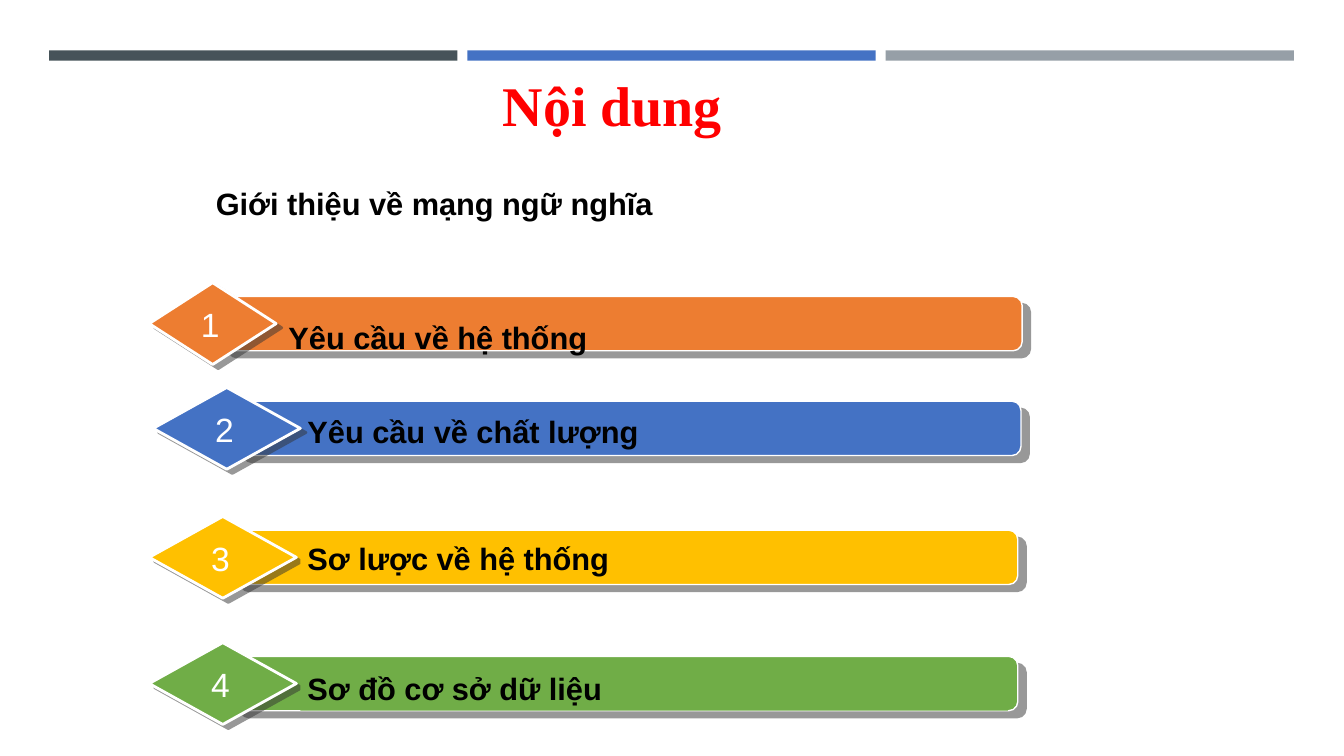
from lxml import etree
from pptx import Presentation
from pptx.dml.color import RGBColor
from pptx.enum import shapes, text
from pptx.oxml.ns import qn
from pptx.util import Cm, Pt

# Content
TITLE = "Nội dung"
SUBTITLE = "Giới thiệu về mạng ngữ nghĩa"
# Lengths in cm; label is (left, offset below bar top, width, height)
ROWS = [
    dict(name="Yêu cầu về hệ thống", color="ED7D31", top=7.47, bar=(5.54, 20.22),
         diamond=(3.76, 3.2), label=(7.09, 0, 19.53, 1.42), spacing=1.5),
    dict(name="Yêu cầu về chất lượng", color="4472C4", top=10.11, bar=(5.92, 19.81),
         diamond=(3.86, 3.71), label=(7.57, 0.18, 18.59, 1.14)),
    dict(name="Sơ lược về hệ thống", color="FFC000", top=13.36, bar=(5.84, 19.81),
         diamond=(3.76, 3.71), label=(7.57, 0.13, 17.83, 1.14), filled=True),
    dict(name="Sơ đồ cơ sở dữ liệu", color="70AD47", top=16.54, bar=(5.84, 19.81),
         diamond=(3.76, 3.71), label=(7.57, 0.23, 17.83, 1.14), filled=True),
]
THEME = dict(
    strips=("465359", "4472C4", "969FA7"), red="FF0000", black="000000",
    white="FFFFFF", shadow="333333", title_font="Times New Roman", font="Arial",
    title=40, label=22, number=24,
)
BAR_H, DIAMOND_H, NUMBER_W, NUMBER_H = 1.37, 2.06, 1.0, 1.18
STRIP_LEFT, STRIP_TOP, STRIP_W, STRIP_H, STRIP_STEP = 1.24, 1.27, 10.29, 0.26, 10.54
TIGHT = (0.18, 0.1)


def add_block(parent, kind, box, color, line=None):
    sp = parent.shapes.add_shape(kind, *map(Cm, box))
    sp.shadow.inherit = False
    sp.fill.solid()
    sp.fill.fore_color.rgb = RGBColor.from_string(color)
    if line:
        sp.line.color.rgb = RGBColor.from_string(THEME["white"])
        sp.line.width = Pt(line)
    else:
        sp.line.fill.background()
    return sp


def add_shadow(sp, distance, angle):
    effects = sp._element.spPr.find(qn("a:effectLst"))
    shadow = etree.SubElement(effects, qn("a:outerShdw"), blurRad="0",
                              dist=str(Pt(distance)), dir=str(angle * 60000),
                              algn="ctr", rotWithShape="0")
    color = etree.SubElement(shadow, qn("a:srgbClr"), val=THEME["shadow"])
    etree.SubElement(color, qn("a:alpha"), val="50000")


def add_text(parent, box, words, size, color, font=THEME["font"], bold=True,
             inset=TIGHT, wrap=True):
    sp = parent.shapes.add_textbox(*map(Cm, box))
    tf = sp.text_frame
    tf.word_wrap = wrap
    tf.auto_size = text.MSO_AUTO_SIZE.SHAPE_TO_FIT_TEXT
    tf.margin_left = tf.margin_right = Cm(inset[0])
    tf.margin_top = tf.margin_bottom = Cm(inset[1])
    p = tf.paragraphs[0]
    p.text = words
    p.font.name, p.font.size, p.font.bold = font, Pt(size), bold
    p.font.color.rgb = RGBColor.from_string(color)
    return sp


def add_row(slide, number, row):
    group = slide.shapes.add_group_shape()
    top = row["top"]

    # Bar and diamond
    left, width = row["bar"]
    bar = add_block(group, shapes.MSO_SHAPE.ROUNDED_RECTANGLE,
                    (left, top, width, BAR_H), row["color"], 1)
    bar.adjustments[0] = 0.167
    add_shadow(bar, 7.8, 40)
    left, width = row["diamond"]
    diamond = add_block(group, shapes.MSO_SHAPE.DIAMOND,
                        (left, top + (BAR_H - DIAMOND_H) / 2, width, DIAMOND_H),
                        row["color"], 2)
    add_shadow(diamond, 5, 37)
    center = left + width / 2 - 0.06

    # Label and number
    left, offset, width, height = row["label"]
    label = add_text(group, (left, top + offset, width, height), row["name"],
                     THEME["label"], THEME["black"])
    label.text_frame.paragraphs[0].line_spacing = row.get("spacing")
    if row.get("filled"):
        label.fill.solid()
        label.fill.fore_color.rgb = RGBColor.from_string(row["color"])
    digit = add_text(group, (center - NUMBER_W / 2, top + 0.1, NUMBER_W, NUMBER_H),
                     str(number), THEME["number"], THEME["white"], bold=False, wrap=False)
    digit.text_frame.paragraphs[0].alignment = text.PP_ALIGN.CENTER


def main():
    prs = Presentation()
    prs.slide_width, prs.slide_height = Cm(33.87), Cm(19.05)
    slide = prs.slides.add_slide(prs.slide_layouts[6])

    # Strips across the top
    for i, color in enumerate(THEME["strips"]):
        add_block(slide, shapes.MSO_SHAPE.RECTANGLE,
                  (STRIP_LEFT + i * STRIP_STEP, STRIP_TOP, STRIP_W, STRIP_H), color)

    # Headings
    add_text(slide, (12.42, 1.65, 16.94, 1.96), TITLE, THEME["title"], THEME["red"],
             THEME["title_font"], inset=(0.25, 0.13))
    add_text(slide, (5.26, 4.55, 15.98, 1.17), SUBTITLE, THEME["label"], THEME["black"])

    # Numbered rows
    for number, row in enumerate(ROWS, 1):
        add_row(slide, number, row)

    prs.save("out.pptx")


if __name__ == "__main__":
    main()
